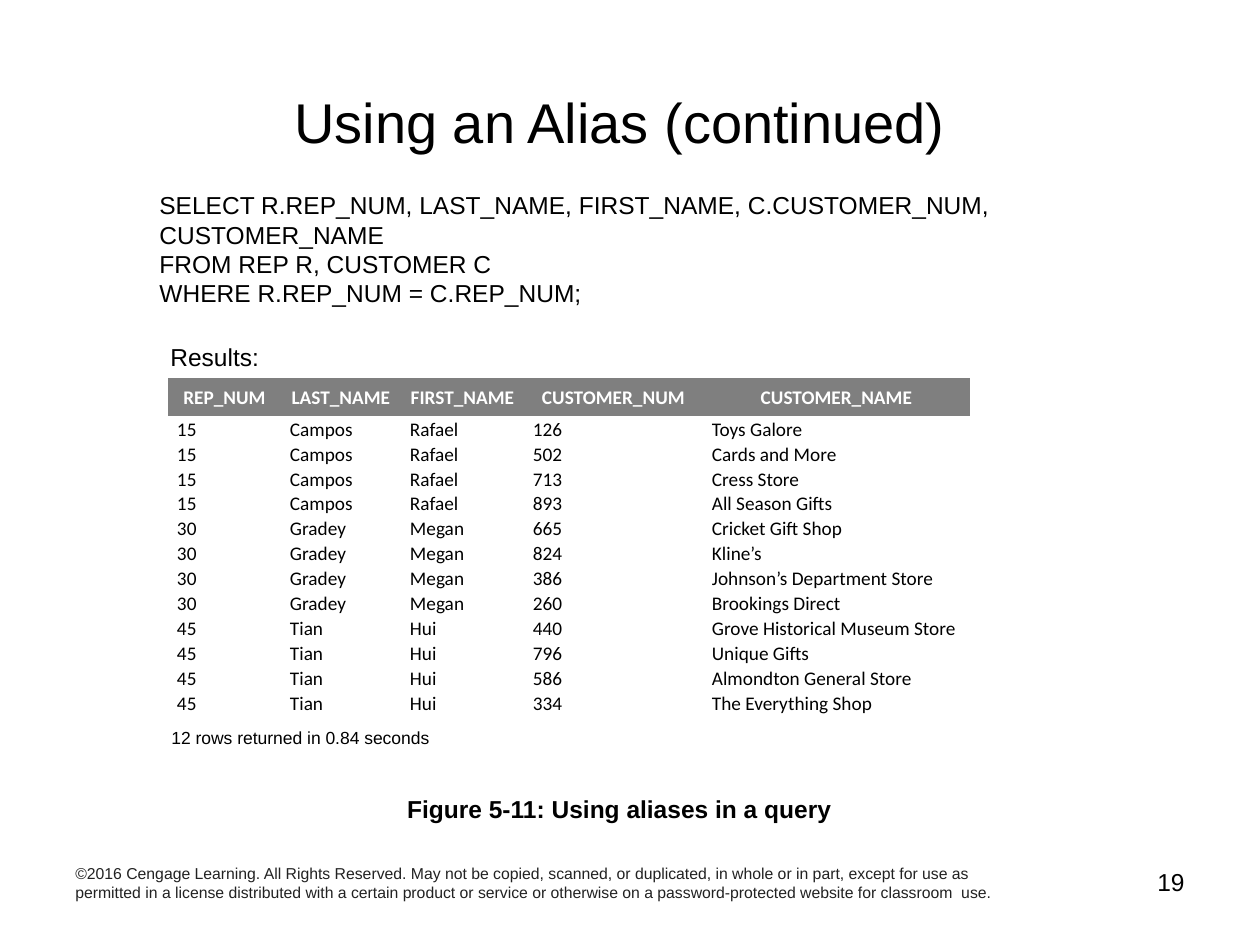
from pptx import Presentation
from pptx.dml.color import RGBColor
from pptx.enum.text import MSO_ANCHOR, PP_ALIGN
from pptx.oxml.ns import qn
from pptx.util import Emu, Pt

LEFT, CENTER, RIGHT = PP_ALIGN.LEFT, PP_ALIGN.CENTER, PP_ALIGN.RIGHT
TOP, MIDDLE = MSO_ANCHOR.TOP, MSO_ANCHOR.MIDDLE
BLACK = RGBColor(0x00, 0x00, 0x00)
WHITE = RGBColor(0xFF, 0xFF, 0xFF)
DARK = RGBColor(0x22, 0x22, 0x22)
GRAY = RGBColor(0x7F, 0x7F, 0x7F)
NO_STYLE_NO_GRID = "{2D5ABB26-0587-4C30-8999-92F81FD0307C}"

QUERY = """SELECT R.REP_NUM, LAST_NAME, FIRST_NAME, C.CUSTOMER_NUM, CUSTOMER_NAME
FROM REP R, CUSTOMER C
WHERE R.REP_NUM = C.REP_NUM;"""
COPYRIGHT = (
    "©2016 Cengage Learning. All Rights Reserved. May not be copied, scanned, or "
    "duplicated, in whole or in part, except for use as permitted in a license "
    "distributed with a certain product or service or otherwise on a "
    "password-protected website for classroom  use."
)
HEADERS = ["REP_NUM", "LAST_NAME", "FIRST_NAME", "CUSTOMER_NUM", "CUSTOMER_NAME"]
REPS = [
    (("15", "Campos", "Rafael"), [
        ("126", "Toys Galore"), ("502", "Cards and More"),
        ("713", "Cress Store"), ("893", "All Season Gifts")]),
    (("30", "Gradey", "Megan"), [
        ("665", "Cricket Gift Shop"), ("824", "Kline’s"),
        ("386", "Johnson’s Department Store"), ("260", "Brookings Direct")]),
    (("45", "Tian", "Hui"), [
        ("440", "Grove Historical Museum Store"), ("796", "Unique Gifts"),
        ("586", "Almondton General Store"), ("334", "The Everything Shop")]),
]
COLUMN_WIDTHS = [113, 120, 123, 179, 267]
HEADER_HEIGHT, ROW_HEIGHT = 38, 25


def px(length):
    return Emu(round(length * 914400 / 126))


def write_text(frame, text, size=14, font="Arial", color=BLACK, bold=False,
               align=LEFT, spacing=None):
    for index, line in enumerate(text.split("\n")):
        paragraph = frame.paragraphs[0] if index == 0 else frame.add_paragraph()
        paragraph.alignment = align
        if spacing:
            paragraph.line_spacing = spacing
        run = paragraph.add_run()
        run.text = line
        run.font.size = Pt(size)
        run.font.name = font
        run.font.bold = bold
        run.font.color.rgb = color


def add_text(slide, box, text, anchor=TOP, wrap=True, **text_format):
    frame = slide.shapes.add_textbox(*map(px, box)).text_frame
    frame.word_wrap = wrap
    frame.vertical_anchor = anchor
    write_text(frame, text, **text_format)


def add_result_table(slide, left, top):
    rows = [HEADERS] + [rep + customer for rep, customers in REPS for customer in customers]
    heights = [HEADER_HEIGHT] + [ROW_HEIGHT] * (len(rows) - 1)
    table = slide.shapes.add_table(
        len(rows), len(HEADERS), px(left), px(top),
        px(sum(COLUMN_WIDTHS)), px(sum(heights))).table
    table.horz_banding = False
    table._tbl.tblPr.find(qn("a:tableStyleId")).text = NO_STYLE_NO_GRID
    for column, width in zip(table.columns, COLUMN_WIDTHS):
        column.width = px(width)
    for row_index, (values, height) in enumerate(zip(rows, heights)):
        table.rows[row_index].height = px(height)
        is_header = row_index == 0
        for column_index, value in enumerate(values):
            cell = table.cell(row_index, column_index)
            cell.margin_left = cell.margin_right = px(9)
            cell.margin_top = cell.margin_bottom = 0
            cell.vertical_anchor = MIDDLE
            if is_header:
                cell.fill.solid()
                cell.fill.fore_color.rgb = GRAY
            else:
                cell.fill.background()
            write_text(cell.text_frame, value, size=11, font="Calibri", spacing=1.07,
                       color=WHITE if is_header else BLACK, bold=is_header,
                       align=CENTER if is_header else LEFT)


def add_results(slide, left, top):
    add_text(slide, (left, top, 115, 43), "Results:", wrap=False)
    add_result_table(slide, left + 10, top + 42)
    add_text(slide, (left + 1, top + 385, 285, 34), "12 rows returned in 0.84 seconds",
             size=10, wrap=False)


def add_footer(slide, left, top):
    add_text(slide, (left, top, 955, 66), COPYRIGHT, size=9, color=DARK)
    add_text(slide, (left + 987, top + 3, 147, 66), "19", align=RIGHT)


def main():
    presentation = Presentation()
    presentation.slide_width, presentation.slide_height = px(1260), px(945)
    slide = presentation.slides.add_slide(presentation.slide_layouts[6])
    add_text(slide, (53, 42, 1134, 158), "Using an Alias (continued)",
             size=32, align=CENTER, anchor=MIDDLE)
    add_text(slide, (147, 184, 1012, 131), QUERY)
    add_results(slide, 158, 336)
    add_text(slide, (131, 788, 977, 43), "Figure 5-11: Using aliases in a query",
             bold=True, align=CENTER)
    add_footer(slide, 63, 858)
    presentation.save("out.pptx")


if __name__ == "__main__":
    main()
